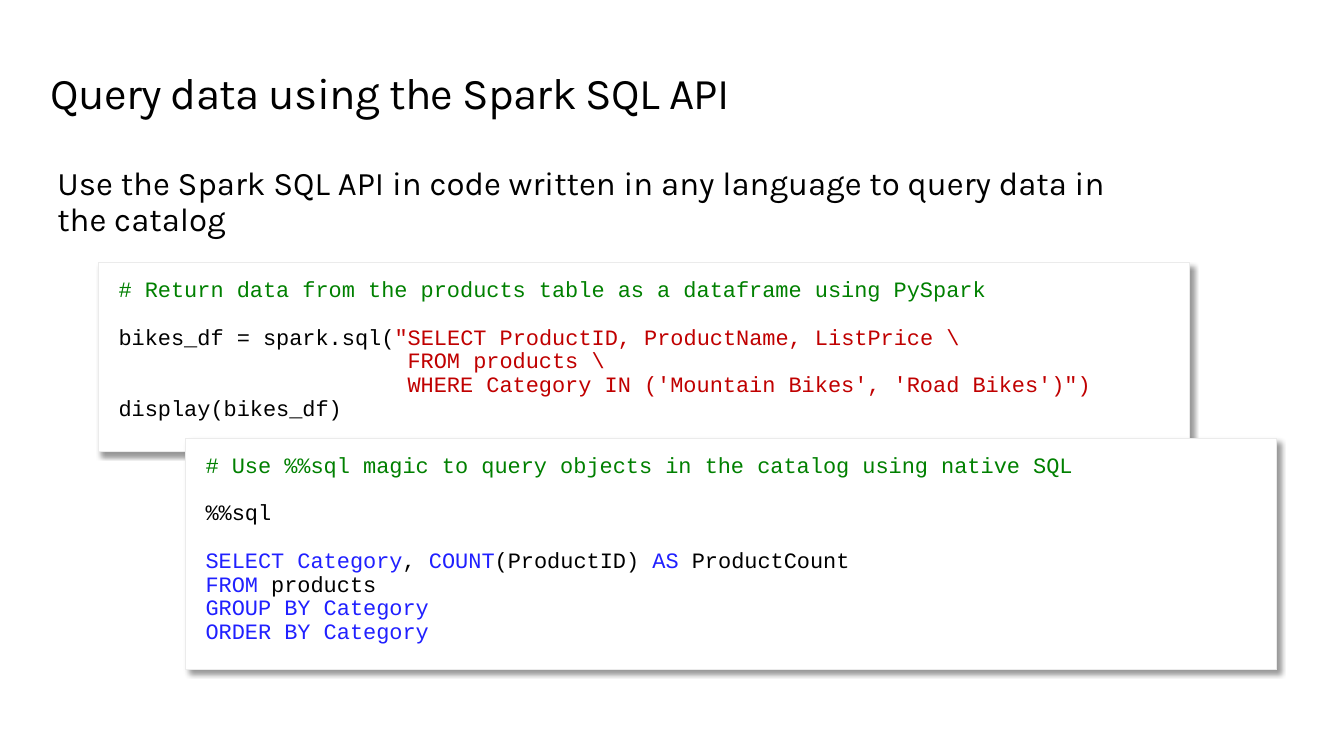
import pptx
import pptx.dml.color
import pptx.enum.shapes
import pptx.enum.text
import pptx.oxml
import pptx.oxml.ns
import pptx.util
from lxml import etree

Pt = pptx.util.Pt
BLACK, WHITE, BORDER = "000000", "FFFFFF", "EBEBEB"
GREEN, RED, BLUE = "008000", "C00000", "2020FF"
CODE_INDENT = " " * 22
CODE_LINE = 17.3
CODE_INSETS = (14.4, 11.52, 14.4, 11.52)

PYSPARK_CODE = [
    [("# Return data from the products table as a dataframe using PySpark", GREEN)],
    [],
    [("bikes_df = spark.sql(", BLACK),
     ('"SELECT ProductID, ProductName, ListPrice \\', RED)],
    [(CODE_INDENT + "FROM products \\", RED)],
    [(CODE_INDENT + "WHERE Category IN ('Mountain Bikes', 'Road Bikes')\")", RED)],
    [("display(bikes_df)", BLACK)],
]
SQL_CODE = [
    [("# Use %%sql magic to query objects in the catalog using native SQL", GREEN)],
    [],
    [("%%sql", BLACK)],
    [],
    [("SELECT Category", BLUE), (", ", BLACK), ("COUNT", BLUE),
     ("(ProductID) ", BLACK), ("AS", BLUE), (" ProductCount", BLACK)],
    [("FROM", BLUE), (" products", BLACK)],
    [("GROUP BY Category", BLUE)],
    [("ORDER BY Category", BLUE)],
]


def color(value):
    return pptx.dml.color.RGBColor.from_string(value)


def set_frame(box, insets):
    frame = box.text_frame
    frame.word_wrap = True
    frame.vertical_anchor = pptx.enum.text.MSO_ANCHOR.TOP
    frame.margin_left, frame.margin_top, frame.margin_right, frame.margin_bottom = map(Pt, insets)
    return frame


def add_span(para, text, size, font, value):
    span = para.add_run()
    span.text = text
    span.font.size = Pt(size)
    span.font.name = font
    span.font.color.rgb = color(value)
    return span


def add_heading(page, place, text, size, insets):
    box = page.shapes.add_textbox(*map(Pt, place))
    para = set_frame(box, insets).paragraphs[0]
    para.line_spacing = 0.9
    return add_span(para, text, size, "Karla", BLACK)


def add_shadow(box):
    box.shadow.inherit = False
    effects = box._element.spPr.find(pptx.oxml.ns.qn("a:effectLst"))
    shadow = etree.SubElement(
        effects, pptx.oxml.ns.qn("a:outerShdw"), blurRad=str(Pt(4)), dist=str(Pt(3)),
        dir=str(45 * 60000), algn="tl", rotWithShape="0")
    tint = etree.SubElement(shadow, pptx.oxml.ns.qn("a:srgbClr"), val=BLACK)
    etree.SubElement(tint, pptx.oxml.ns.qn("a:alpha"), val="40000")


def add_code(page, place, lines):
    box = page.shapes.add_shape(pptx.enum.shapes.MSO_SHAPE.RECTANGLE, *map(Pt, place))
    box.fill.solid()
    box.fill.fore_color.rgb = color(WHITE)
    box.line.color.rgb = color(BORDER)
    box.line.width = Pt(0.75)
    add_shadow(box)
    frame = set_frame(box, CODE_INSETS)
    for index, line in enumerate(lines):
        if not line:
            continue
        para = frame.add_paragraph() if index else frame.paragraphs[0]
        para.alignment = pptx.enum.text.PP_ALIGN.LEFT
        para.line_spacing = 0.9
        if index and not lines[index - 1]:
            para.space_before = Pt(CODE_LINE)
        for text, value in line:
            add_span(para, text, 16, "Courier New", value)


def main():
    deck = pptx.Presentation()
    deck.slide_width, deck.slide_height = Pt(979.2), Pt(550.8)
    page = deck.slides.add_slide(deck.slide_layouts[6])
    title = add_heading(page, (36.72, 44.64, 907.92, 65.52),
                        "Query data using the Spark SQL API", 32, (0, 7.2, 11.52, 7.2))
    title.font._element.set("spc", "-50")
    add_heading(page, (27.36, 110.16, 820.8, 75.6),
                "Use the Spark SQL API in code written in any language to query data in the catalog",
                24, CODE_INSETS)
    add_code(page, (72, 191.52, 794.88, 137.52), PYSPARK_CODE)
    add_code(page, (135.36, 319.68, 794.88, 168.48), SQL_CODE)
    deck.save("out.pptx")


if __name__ == "__main__":
    main()
